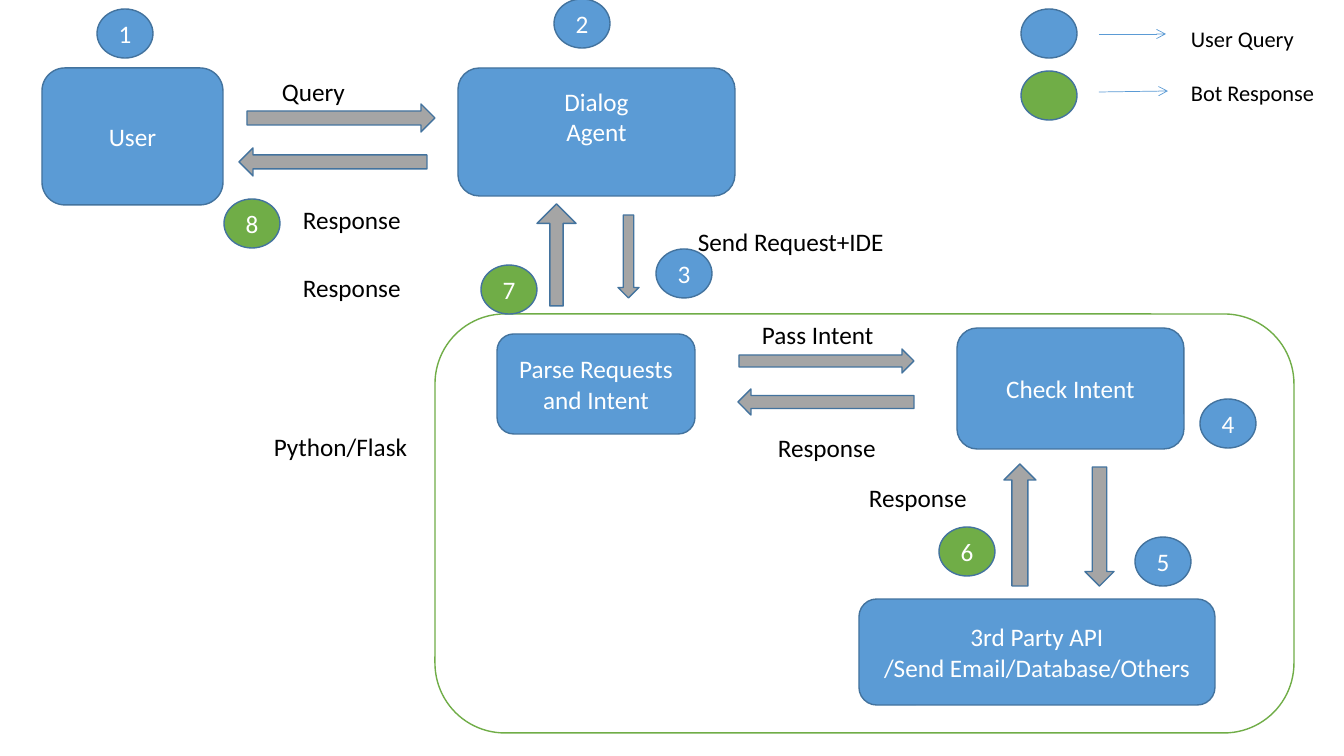
"""Build a slide showing the eight steps of a chatbot query and its response."""
from dataclasses import dataclass

from lxml.etree import SubElement
from pptx import Presentation
from pptx.dml.color import RGBColor
from pptx.enum.shapes import MSO_CONNECTOR, MSO_SHAPE
from pptx.enum.text import MSO_ANCHOR, MSO_AUTO_SIZE, PP_ALIGN
from pptx.oxml.ns import qn
from pptx.shapes.autoshape import Shape
from pptx.slide import Slide
from pptx.text.text import TextFrame
from pptx.util import Emu, Pt

SCALE = 914400 / 100.8
FONT = "Calibri"
COLORS = {
    "query": "5B9BD5",
    "response": "70AD47",
    "arrow": "A5A5A5",
    "outline": "43739E",
    "white": "FFFFFF",
    "black": "000000",
}
BADGE_W, BADGE_H = 56, 49
LABEL_H = 40


@dataclass(frozen=True)
class Box:
    x: int
    y: int
    w: int
    h: int
    text: str = ""
    fill: str = "query"
    line: str = "outline"
    bottom: int = 5


@dataclass(frozen=True)
class Arrow:
    kind: MSO_SHAPE
    x: int
    y: int
    w: int
    h: int
    shaft: float = 0.5


@dataclass(frozen=True)
class Badge:
    x: int
    y: int
    text: str = ""
    fill: str = "query"


@dataclass(frozen=True)
class Label:
    x: int
    y: int
    w: int
    text: str
    h: int = LABEL_H
    size: int = 18
    gap: float = 0


@dataclass(frozen=True)
class Pointer:
    x1: int
    y1: int
    x2: int
    y2: int


BOXES = [
    Box(435, 314, 859, 419, fill="white", line="response"),
    Box(458, 68, 277, 128, "Dialog\nAgent", bottom=36),
    Box(42, 68, 181, 137, "User"),
    Box(497, 334, 198, 100, "Parse Requests\nand Intent"),
    Box(957, 328, 227, 121, "Check Intent"),
    Box(859, 599, 356, 106, "3rd Party API\n/Send Email/Database/Others"),
]
ARROWS = [
    Arrow(MSO_SHAPE.RIGHT_ARROW, 247, 104, 188, 28),
    Arrow(MSO_SHAPE.LEFT_ARROW, 239, 148, 188, 28),
    Arrow(MSO_SHAPE.RIGHT_ARROW, 739, 349, 175, 24),
    Arrow(MSO_SHAPE.LEFT_ARROW, 738, 389, 176, 26),
    Arrow(MSO_SHAPE.DOWN_ARROW, 618, 215, 21, 83),
    Arrow(MSO_SHAPE.UP_ARROW, 537, 204, 39, 102, 0.34),
    Arrow(MSO_SHAPE.UP_ARROW, 1004, 464, 32, 122),
    Arrow(MSO_SHAPE.DOWN_ARROW, 1085, 467, 29, 119),
]
BADGES = [
    Badge(97, 9, "1"),
    Badge(554, -1, "2"),
    Badge(656, 249, "3"),
    Badge(1200, 399, "4"),
    Badge(1135, 537, "5"),
    Badge(939, 527, "6", "response"),
    Badge(481, 265, "7", "response"),
    Badge(224, 199, "8", "response"),
    Badge(1021, 9),
    Badge(1021, 71, fill="response"),
]
LABELS = [
    Label(264, 426, 170, "Python/Flask"),
    Label(272, 71, 143, "Query"),
    Label(293, 199, 132, "Response"),
    Label(688, 221, 236, "Send Request+IDE"),
    Label(293, 267, 164, "Response"),
    Label(752, 314, 149, "Pass Intent"),
    Label(768, 427, 128, "Response"),
    Label(859, 477, 128, "Response"),
    Label(1181, 20, 148, "User Query\nBot Response", h=92, size=16, gap=19.5),
]
POINTERS = [Pointer(1099, 34, 1166, 34), Pointer(1099, 92, 1168, 91)]


def px(*values: int) -> list[Emu]:
    return [Emu(round(v * SCALE)) for v in values]


def rgb(name: str) -> RGBColor:
    return RGBColor.from_string(COLORS[name])


def write(tf: TextFrame, text: str, color: str, size: int, align: PP_ALIGN, gap: float = 0) -> None:
    tf.text = text
    for i, p in enumerate(tf.paragraphs):
        p.alignment = align
        p.space_before = Pt(gap if i else 0)
        for r in p.runs:
            r.font.name = FONT
            r.font.size = Pt(size)
            r.font.color.rgb = rgb(color)


def add_shape(s: Slide, kind: MSO_SHAPE, bounds: tuple[int, int, int, int],
              fill: str, line: str = "outline", text: str = "") -> Shape:
    sp = s.shapes.add_shape(kind, *px(*bounds))
    sp.shadow.inherit = False
    sp.fill.solid()
    sp.fill.fore_color.rgb = rgb(fill)
    sp.line.color.rgb = rgb(line)
    sp.line.width = Pt(1)
    if text:
        sp.text_frame.vertical_anchor = MSO_ANCHOR.MIDDLE
        write(sp.text_frame, text, "white", 18, PP_ALIGN.CENTER)
    return sp


def add_box(s: Slide, b: Box) -> None:
    sp = add_shape(s, MSO_SHAPE.FLOWCHART_ALTERNATE_PROCESS,
                   (b.x, b.y, b.w, b.h), b.fill, b.line, b.text)
    sp.text_frame.margin_bottom = px(b.bottom)[0]


def add_arrow(s: Slide, a: Arrow) -> None:
    sp = add_shape(s, a.kind, (a.x, a.y, a.w, a.h), "arrow")
    sp.adjustments[0] = a.shaft


def add_badge(s: Slide, b: Badge) -> None:
    add_shape(s, MSO_SHAPE.OVAL, (b.x, b.y, BADGE_W, BADGE_H), b.fill, text=b.text)


def add_label(s: Slide, lb: Label) -> None:
    tf = s.shapes.add_textbox(*px(lb.x, lb.y, lb.w, lb.h)).text_frame
    tf.word_wrap = True
    tf.auto_size = MSO_AUTO_SIZE.SHAPE_TO_FIT_TEXT
    write(tf, lb.text, "black", lb.size, PP_ALIGN.LEFT, lb.gap)


def add_pointer(s: Slide, pt: Pointer) -> None:
    cx = s.shapes.add_connector(MSO_CONNECTOR.STRAIGHT, *px(pt.x1, pt.y1, pt.x2, pt.y2))
    cx.line.color.rgb = rgb("query")
    cx.line.width = Pt(0.5)
    SubElement(cx.line._get_or_add_ln(), qn("a:tailEnd"), type="arrow")
    SubElement(cx._element.spPr, qn("a:effectLst"))


def main() -> None:
    prs = Presentation()
    prs.slide_width, prs.slide_height = px(1344, 756)
    s = prs.slides.add_slide(prs.slide_layouts[6])
    for items, draw in [(BOXES, add_box), (ARROWS, add_arrow), (BADGES, add_badge),
                        (LABELS, add_label), (POINTERS, add_pointer)]:
        for item in items:
            draw(s, item)
    prs.save("out.pptx")


main()
